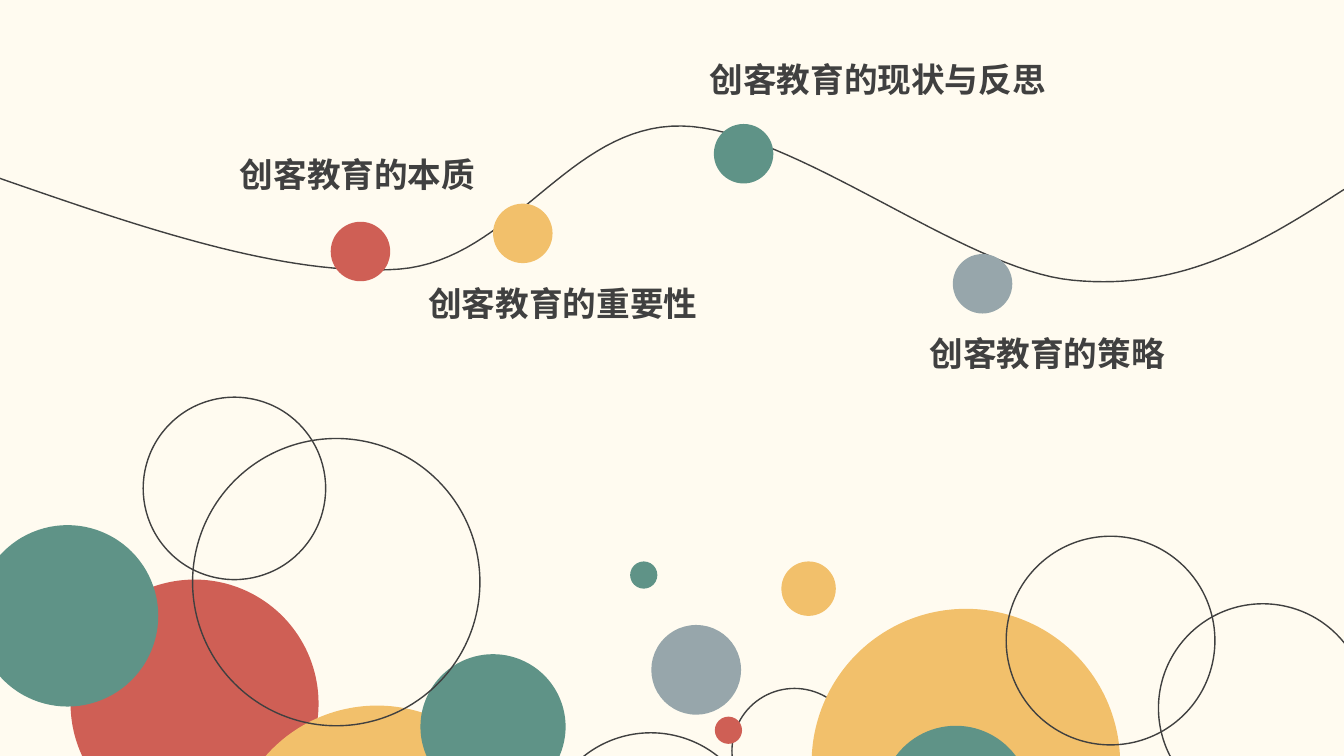
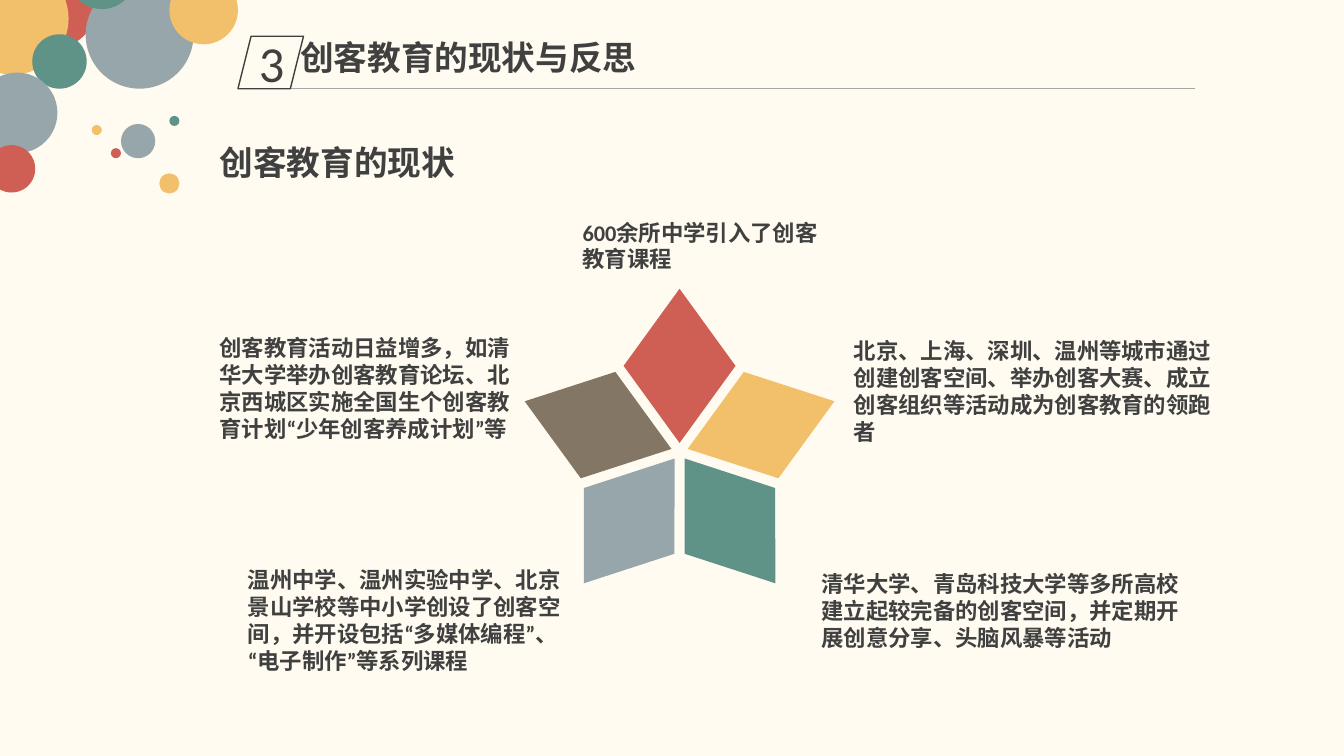
from math import cos, radians, sin

from lxml import etree
from pptx import Presentation
from pptx import util as u
from pptx.dml.color import RGBColor
from pptx.enum import shapes, text
from pptx.oxml.ns import qn

CREAM = RGBColor(0xFF, 0xFB, 0xF0)
INK = RGBColor(0x40, 0x40, 0x40)
RULE = RGBColor(0xA6, 0xA6, 0xA6)
RED = RGBColor(0xCF, 0x5F, 0x55)
YELLOW = RGBColor(0xF2, 0xC0, 0x6B)
GREEN = RGBColor(0x5F, 0x93, 0x87)
GREY = RGBColor(0x97, 0xA6, 0xAB)
BROWN = RGBColor(0x83, 0x76, 0x64)
HEADING_FONT = "Noto Sans CJK SC"
BODY_FONT = "Calibri"


def add_figure(parent, kind, left, top, width, height, fill=None):
    figure = parent.add_shape(
        kind, u.Inches(left), u.Inches(top), u.Inches(width), u.Inches(height))
    figure.shadow.inherit = False
    if fill is None:
        figure.fill.background()
        figure.line.color.rgb = INK
        figure.line.width = u.Pt(1)
    else:
        figure.fill.solid()
        figure.fill.fore_color.rgb = fill
        figure.line.fill.background()
    return figure


def add_words(slide, words, left, top, width, height, heading=True,
              align=text.PP_ALIGN.LEFT):
    box = slide.shapes.add_textbox(
        u.Inches(left), u.Inches(top), u.Inches(width), u.Inches(height))
    box.text_frame.word_wrap = True
    box.text_frame.auto_size = text.MSO_AUTO_SIZE.SHAPE_TO_FIT_TEXT
    paragraph = box.text_frame.paragraphs[0]
    paragraph.text = words
    paragraph.alignment = align
    if heading:
        paragraph.line_spacing = 0.9
    font = paragraph.font
    font.name = HEADING_FONT if heading else BODY_FONT
    font.size = u.Pt(24 if heading else 16)
    font.bold = True
    font.color.rgb = INK
    east_asian = etree.SubElement(paragraph._p.pPr.find(qn("a:defRPr")), qn("a:ea"))
    east_asian.set("typeface", font.name)


deck = Presentation()
deck.slide_width = u.Inches(13.33)
deck.slide_height = u.Inches(7.5)
agenda, status = [deck.slides.add_slide(deck.slide_layouts[6]) for _ in range(2)]
for slide in (agenda, status):
    slide.background.fill.solid()
    slide.background.fill.fore_color.rgb = CREAM

agenda_bubbles = [
    (0.7, 5.75, 2.46, RED),
    (2.27, 7, 2.94, YELLOW),
    (4.17, 6.49, 1.44, GREEN),
    (5.39, 7.27, 2.13, None),
    (1.91, 4.35, 2.85, None),
    (-0.23, 5.21, 1.8, GREEN),
    (7.26, 6.83, 1.24, None),
    (8.05, 6.04, 3.06, YELLOW),
    (8.74, 7.2, 1.48, GREEN),
    (9.98, 5.32, 2.07, None),
    (11.49, 5.99, 2.07, None),
    (6.46, 6.2, 0.89, GREY),
    (7.09, 7.11, 0.27, RED),
    (6.25, 5.57, 0.27, GREEN),
    (7.75, 5.57, 0.54, YELLOW),
    (1.42, 3.94, 1.81, None),
]
for left, top, size, fill in agenda_bubbles:
    add_figure(agenda.shapes, shapes.MSO_SHAPE.OVAL, left, top, size, size, fill)

wave_nodes = [
    (0, 1.77), (1.41, 2.26), (2.83, 2.75), (3.96, 2.67),
    (5.08, 2.58), (5.64, 1.23), (6.76, 1.25),
    (7.87, 1.27), (9.55, 2.68), (10.64, 2.78),
    (11.74, 2.89), (12.54, 2.39), (13.33, 1.88),
]
STEPS = 32
wave_points = []
for first in range(0, len(wave_nodes) - 1, 3):
    controls = wave_nodes[first:first + 4]
    for step in range(1, STEPS + 1):
        t = step / STEPS
        weights = ((1 - t) ** 3, 3 * t * (1 - t) ** 2, 3 * t ** 2 * (1 - t), t ** 3)
        wave_points.append(tuple(
            u.Inches(sum(w * node[axis] for w, node in zip(weights, controls)))
            for axis in (0, 1)))
wave_builder = agenda.shapes.build_freeform(
    u.Inches(wave_nodes[0][0]), u.Inches(wave_nodes[0][1]))
wave_builder.add_line_segments(wave_points, close=False)
wave = wave_builder.convert_to_shape()
wave.shadow.inherit = False
wave.fill.background()
wave.line.color.rgb = INK
wave.line.width = u.Pt(1)

STOP_SIZE = 0.59
stops = [
    ("创客教育的本质", 2.28, 1.52, 3.11, 3.28, 2.2, RED),
    ("创客教育的重要性", 4.15, 2.8, 3.11, 4.89, 2.02, YELLOW),
    ("创客教育的现状与反思", 6.94, 0.58, 3.66, 7.08, 1.23, GREEN),
    ("创客教育的策略", 9.12, 3.3, 3.11, 9.45, 2.52, GREY),
]
for topic, left, top, width, dot_left, dot_top, fill in stops:
    add_figure(agenda.shapes, shapes.MSO_SHAPE.OVAL,
               dot_left, dot_top, STOP_SIZE, STOP_SIZE, fill)
    add_words(agenda, topic, left, top, width, 0.5)

corner_bubbles = [
    (0.04, -0.44, 0.93, RED),
    (-0.43, -0.37, 1.11, YELLOW),
    (0.32, 0.34, 0.54, GREEN),
    (-0.23, 0.72, 0.8, GREY),
    (0.85, -0.19, 1.07, GREY),
    (0.67, -0.59, 0.68, GREEN),
    (-0.12, 1.44, 0.47, RED),
    (1.2, 1.23, 0.34, GREY),
    (1.1, 1.47, 0.1, RED),
    (0.91, 1.24, 0.1, YELLOW),
    (1.68, 1.15, 0.1, GREEN),
    (1.58, 1.72, 0.2, YELLOW),
    (1.68, -0.24, 0.68, YELLOW),
]
corner = status.shapes.add_group_shape()
for left, top, size, fill in corner_bubbles:
    add_figure(corner.shapes, shapes.MSO_SHAPE.OVAL, left, top, size, size, fill)

title_rule = status.shapes.add_connector(
    shapes.MSO_CONNECTOR.STRAIGHT,
    u.Inches(2.84), u.Inches(0.88), u.Inches(11.85), u.Inches(0.88))
title_rule.line.color.rgb = RULE
title_rule.line.width = u.Pt(0.5)
etree.SubElement(title_rule._element.spPr, qn("a:effectLst"))

chapter = add_figure(status.shapes, shapes.MSO_SHAPE.PARALLELOGRAM,
                     2.36, 0.36, 0.65, 0.52)
chapter.text_frame.vertical_anchor = text.MSO_ANCHOR.MIDDLE
number = chapter.text_frame.paragraphs[0]
number.text = "3"
number.alignment = text.PP_ALIGN.CENTER
number.font.name = BODY_FONT
number.font.size = u.Pt(36)
number.font.color.rgb = INK

add_words(status, "创客教育的现状与反思", 2.08, 0.36, 5.13, 0.5,
          align=text.PP_ALIGN.CENTER)
add_words(status, "创客教育的现状", 2.08, 1.4, 5.13, 0.5)

findings = [
    ("创客教育活动日益增多，如清华大学举办创客教育论坛、北京西城区实施全国生个"
     "创客教育计划“少年创客养成计划”等", 2.08, 3.27, 3.08, 1.45),
    ("温州中学、温州实验中学、北京景山学校等中小学创设了创客空间，并开设包括"
     "“多媒体编程”、“电子制作”等系列课程", 2.36, 5.57, 3.32, 1.18),
    ("清华大学、青岛科技大学等多所高校建立起较完备的创客空间，并定期开展创意分享、"
     "头脑风暴等活动", 8.05, 5.61, 3.83, 1.14),
    ("北京、上海、深圳、温州等城市通过创建创客空间、举办创客大赛、成立创客组织等"
     "活动成为创客教育的领跑者", 8.37, 3.3, 3.83, 1.41),
    ("600余所中学引入了创客教育课程", 5.68, 2.12, 2.75, 0.87),
]
for finding, left, top, width, height in findings:
    add_words(status, finding, left, top, width, height, heading=False)

STAR_X, STAR_Y, STAR_RADIUS = 6.74, 4.48, 0.85
PETAL_WIDTH, PETAL_HEIGHT = 1.11, 1.53
for index, fill in enumerate((RED, YELLOW, GREEN, GREY, BROWN)):
    angle = index * 72
    petal = add_figure(
        status.shapes, shapes.MSO_SHAPE.DIAMOND,
        STAR_X + STAR_RADIUS * sin(radians(angle)) - PETAL_WIDTH / 2,
        STAR_Y - STAR_RADIUS * cos(radians(angle)) - PETAL_HEIGHT / 2,
        PETAL_WIDTH, PETAL_HEIGHT, fill)
    petal.rotation = angle

deck.save("out.pptx")
